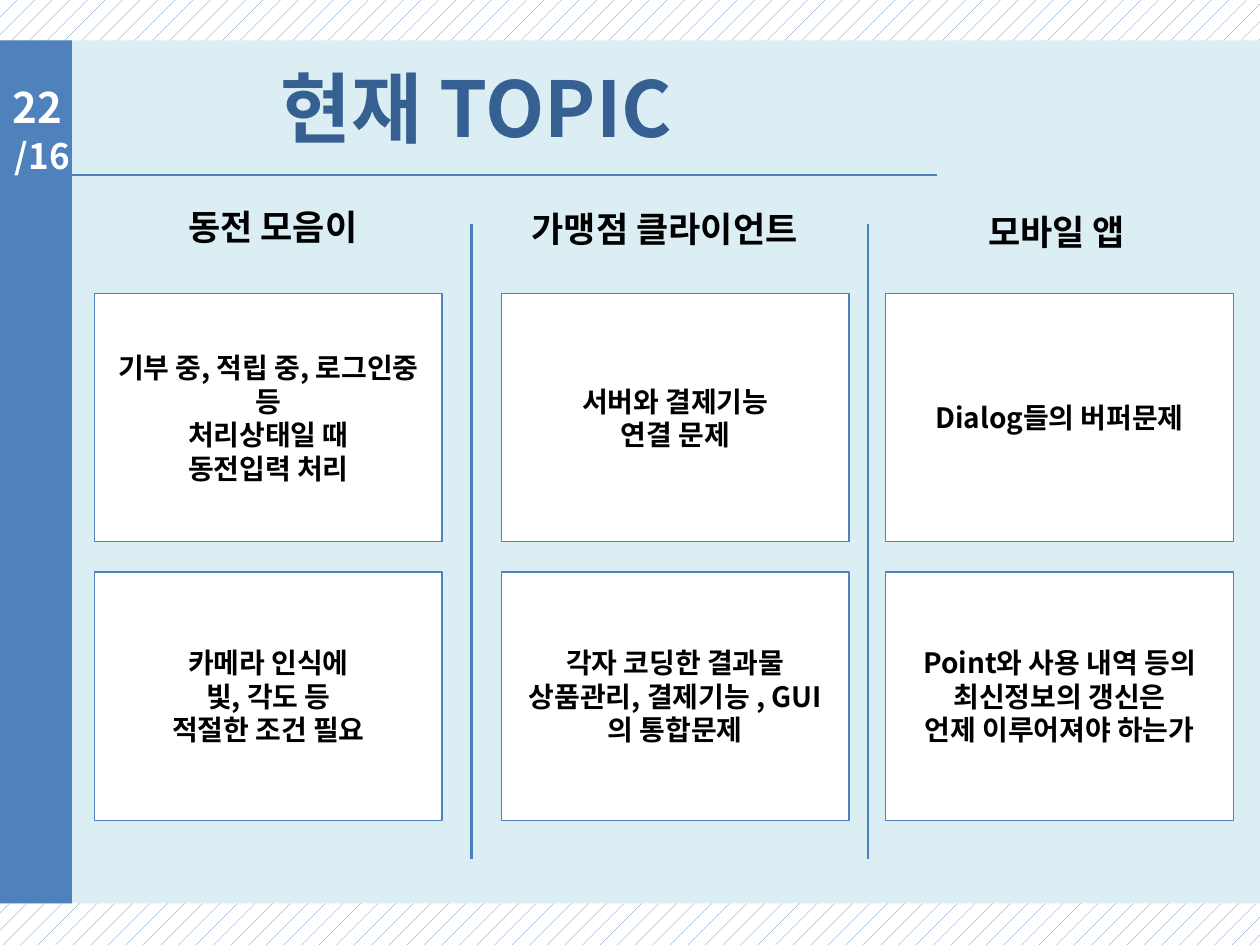
import pptx
import pptx.util
import pptx.dml.color
import pptx.enum.dml
import pptx.enum.shapes
import pptx.enum.text
import pptx.oxml
import pptx.oxml.ns
import lxml.etree

Inches = pptx.util.Inches
FONT = "Noto Sans CJK KR"
BLUE = "4F81BD"
CENTER = pptx.enum.text.PP_ALIGN.CENTER
LEFT = pptx.enum.text.PP_ALIGN.LEFT


def color(value):
    return pptx.dml.color.RGBColor.from_string(value)


def write(sp, text, size, hex_color, align=CENTER):
    tf = sp.text_frame
    tf.word_wrap = True
    tf.auto_size = pptx.enum.text.MSO_AUTO_SIZE.NONE
    tf.vertical_anchor = (pptx.enum.text.MSO_ANCHOR.MIDDLE if align == CENTER
                          else pptx.enum.text.MSO_ANCHOR.TOP)
    tf.text = text
    for p in tf.paragraphs:
        p.alignment = align
        for r in p.runs:
            r.font.size = pptx.util.Pt(size)
            r.font.bold = True
            r.font.color.rgb = color(hex_color)
            r.font.name = FONT
            ea = lxml.etree.SubElement(r._r.get_or_add_rPr(), pptx.oxml.ns.qn("a:ea"))
            ea.set("typeface", FONT)


prs = pptx.Presentation()
prs.slide_width = Inches(10)
prs.slide_height = Inches(7.5)
s = prs.slides.add_slide(prs.slide_layouts[5])

bg = s.background.fill
bg.patterned()
bg.pattern = pptx.enum.dml.MSO_PATTERN.PERCENT_5
bg.fore_color.rgb = color(BLUE)
bg.back_color.rgb = color("FFFFFF")

columns = [
    (0.75, 0.67, 1.54, "동전 모음이",
     ["기부 중, 적립 중, 로그인중 등\n처리상태일 때\n동전입력 처리",
      "카메라 인식에\n빛, 각도 등\n적절한 조건 필요"]),
    (3.98, 3.78, 1.55, "가맹점 클라이언트",
     ["서버와 결제기능\n연결 문제",
      "각자 코딩한 결과물\n상품관리, 결제기능 , GUI 의 통합문제"]),
    (7.03, 6.89, 1.58, "모바일 앱",
     ["Dialog들의 버퍼문제",
      "Point와 사용 내역 등의 최신정보의 갱신은\n언제 이루어져야 하는가"]),
]

rects = [(0, 0.32, 10, 6.85, "DBEEF4", None, ""),
         (-0.02, 0.32, 0.59, 6.85, BLUE, None, "")]
for left, _, _, _, topics in columns:
    for row, topic in enumerate(topics):
        rects.append((left, 2.33 + row * 2.21, 2.76, 1.97, "FFFFFF", BLUE, topic))

for left, top, width, height, fill, line, text in rects:
    sp = s.shapes.add_shape(pptx.enum.shapes.MSO_SHAPE.RECTANGLE, Inches(left),
                            Inches(top), Inches(width), Inches(height))
    sp.shadow.inherit = False
    sp.fill.solid()
    sp.fill.fore_color.rgb = color(fill)
    if line:
        sp.line.color.rgb = color(line)
        sp.line.width = pptx.util.Pt(0.75)
        write(sp, text, 16, "000000")
    else:
        sp.line.fill.background()

lines = [(0.57, 1.39, 7.44, 1.39, BLUE, 1),
         (3.74, 1.78, 3.74, 6.82, "4B7EBC", 1.5),
         (6.89, 1.78, 6.89, 6.82, "4B7EBC", 1.5)]
for x1, y1, x2, y2, stroke, weight in lines:
    c = s.shapes.add_connector(pptx.enum.shapes.MSO_CONNECTOR.STRAIGHT, Inches(x1),
                               Inches(y1), Inches(x2), Inches(y2))
    c.line.color.rgb = color(stroke)
    c.line.width = pptx.util.Pt(weight)
    lxml.etree.SubElement(c.element.spPr, pptx.oxml.ns.qn("a:effectLst"))

title = s.shapes.title
title.left, title.top = Inches(0.59), Inches(0.33)
title.width, title.height = Inches(6.38), Inches(1.04)
write(title, "현재 TOPIC", 44, "376092")
s.shapes.element.append(title.element)

labels = [(0, 0.6, 0.67, 0.5, "22", 24, "FFFFFF", LEFT),
          (0.02, 1.02, 0.67, 0.44, "/16", 20, "FFFFFF", LEFT)]
for _, left, top, heading, _ in columns:
    labels.append((left, top, 2.99, 0.52, heading, 20, "000000", CENTER))
for left, top, width, height, text, size, ink, align in labels:
    sp = s.shapes.add_textbox(Inches(left), Inches(top), Inches(width), Inches(height))
    write(sp, text, size, ink, align)

prs.save("out.pptx")
